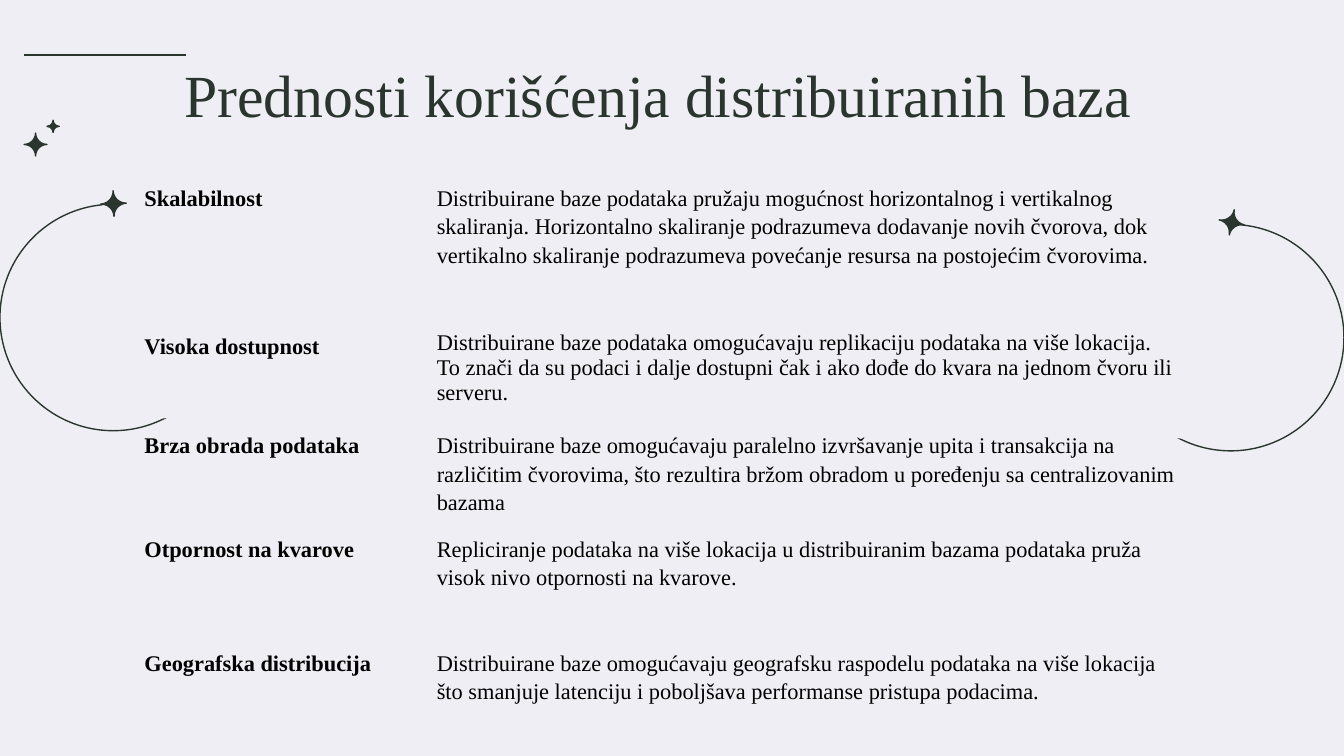
from dataclasses import dataclass

from pptx import Presentation
from pptx.dml.color import RGBColor
from pptx.enum.shapes import MSO_CONNECTOR, MSO_SHAPE
from pptx.enum.text import MSO_ANCHOR, MSO_AUTO_SIZE, PP_ALIGN
from pptx.oxml.ns import qn
from pptx.util import Emu, Pt
from lxml.etree import SubElement


@dataclass(frozen=True)
class Theme:
    paper: RGBColor = RGBColor(0xEF, 0xEE, 0xF4)
    ink: RGBColor = RGBColor(0x2A, 0x36, 0x2D)
    text: RGBColor = RGBColor(0, 0, 0)
    font: str = "Times New Roman"
    title_size: Pt = Pt(32)
    body_size: Pt = Pt(12)
    stroke: Pt = Pt(0.75)


THEME = Theme()
EMU_PER_PX = 4572
PLAIN_TABLE_STYLE = "{2D5ABB26-0587-4C30-8999-92F81FD0307C}"

SPARKLES = [(36, 198, 34, 0), (70, 179, 18, 0), (150, 284, 38, 267.9), (1814, 312, 38, 281.3)]
RING_SIZE = 337
RINGS = [(1663, 334, -64), (0, 304, 64)]
MASK_RISE = 18

COLUMNS = [(440, 15, True), (1120, 10, False)]
TABLE_HEIGHT = 834
ADVANTAGES = [
    (220, 1.15, "Skalabilnost",
     "Distribuirane baze podataka pružaju mogućnost horizontalnog i vertikalnog skaliranja. "
     "Horizontalno skaliranje podrazumeva dodavanje novih čvorova, dok vertikalno skaliranje "
     "podrazumeva povećanje resursa na postojećim čvorovima."),
    (148, 1.0, "Visoka dostupnost",
     "Distribuirane baze podataka omogućavaju replikaciju podataka na više lokacija. "
     "To znači da su podaci i dalje dostupni čak i ako dođe do kvara na jednom čvoru ili serveru."),
    (154, 1.15, "Brza obrada podataka",
     "Distribuirane baze omogućavaju paralelno izvršavanje upita i transakcija na različitim "
     "čvorovima, što rezultira bržom obradom u poređenju sa centralizovanim bazama"),
    (170, 1.15, "Otpornost na kvarove",
     "Repliciranje podataka na više lokacija u distribuiranim bazama podataka pruža visok nivo "
     "otpornosti na kvarove."),
    (130, 1.15, "Geografska distribucija",
     "Distribuirane baze omogućavaju geografsku raspodelu podataka na više lokacija što "
     "smanjuje latenciju i poboljšava performanse pristupa podacima."),
]


def px(n):
    return Emu(n * EMU_PER_PX)


def add_run(p, text, size, color, bold=False):
    r = p.add_run()
    r.text = text
    r.font.name = THEME.font
    r.font.size = size
    r.font.bold = bold
    r.font.color.rgb = color


def add_mark(s, kind, x, y, size, fill=None, line=None):
    sp = s.shapes.add_shape(kind, px(x), px(y), px(size), px(size))
    sp.shadow.inherit = False
    if fill is None:
        sp.fill.background()
    else:
        sp.fill.solid()
        sp.fill.fore_color.rgb = fill
    if line is None:
        sp.line.fill.background()
    else:
        sp.line.color.rgb = line
        sp.line.width = THEME.stroke
    return sp


def add_sparkle(s, x, y, size, rotation):
    sp = add_mark(s, MSO_SHAPE.PLAQUE, x, y, size, THEME.ink, THEME.ink)
    sp.adjustments[0] = 0.5
    sp.rotation = rotation


def add_crescent(s, x, y, mask_shift):
    add_mark(s, MSO_SHAPE.OVAL, x, y, RING_SIZE, line=THEME.ink)
    add_mark(s, MSO_SHAPE.OVAL, x + mask_shift, y - MASK_RISE, RING_SIZE, fill=THEME.paper)


def add_rule(s, x1, x2, y):
    line = s.shapes.add_connector(MSO_CONNECTOR.STRAIGHT, px(x1), px(y), px(x2), px(y))
    line.line.color.rgb = THEME.ink
    line.line.width = THEME.stroke
    SubElement(line._element.spPr, qn("a:effectLst"))


def set_title(s, text, x, y, w, h):
    sp = s.shapes.title
    sp.left, sp.top, sp.width, sp.height = px(x), px(y), px(w), px(h)
    tf = sp.text_frame
    tf.word_wrap = True
    tf.auto_size = MSO_AUTO_SIZE.NONE
    tf.vertical_anchor = MSO_ANCHOR.TOP
    tf.margin_left = tf.margin_right = tf.margin_bottom = px(20)
    tf.margin_top = px(24)
    p = tf.paragraphs[0]
    p.alignment = PP_ALIGN.CENTER
    add_run(p, text, THEME.title_size, THEME.ink)


def fill_cell(cell, text, margin, bold, spacing):
    cell.fill.background()
    cell.margin_left = cell.margin_right = px(margin)
    cell.margin_top = cell.margin_bottom = 0
    p = cell.text_frame.paragraphs[0]
    p.line_spacing = spacing
    p.space_after = Pt(10 if spacing > 1 else 0)
    add_run(p, text, THEME.body_size, THEME.text, bold)


def add_advantages(s, x, y):
    width = sum(column[0] for column in COLUMNS)
    frame = s.shapes.add_table(len(ADVANTAGES), len(COLUMNS),
                               px(x), px(y), px(width), px(TABLE_HEIGHT))
    table = frame.table
    table.first_row = table.horz_banding = False
    table._tbl.tblPr.find(qn("a:tableStyleId")).text = PLAIN_TABLE_STYLE
    for i, (w, _, _) in enumerate(COLUMNS):
        table.columns[i].width = px(w)
    for i, (h, spacing, name, description) in enumerate(ADVANTAGES):
        table.rows[i].height = px(h)
        contents = [(name, 1.15), (description, spacing)]
        for j, (text, line_spacing) in enumerate(contents):
            _, margin, bold = COLUMNS[j]
            fill_cell(table.cell(i, j), text, margin, bold, line_spacing)


def main():
    prs = Presentation()
    prs.slide_width, prs.slide_height = px(2000), px(1125)
    s = prs.slides.add_slide(prs.slide_layouts[5])
    s.background.fill.solid()
    s.background.fill.fore_color.rgb = THEME.paper
    add_rule(s, 277, 36, 82)
    for ring in RINGS:
        add_crescent(s, *ring)
    for sparkle in SPARKLES:
        add_sparkle(s, *sparkle)
    add_advantages(s, 200, 272)
    set_title(s, "Prednosti korišćenja distribuiranih baza", 213, 62, 1534, 170)
    prs.save("out.pptx")


if __name__ == "__main__":
    main()
